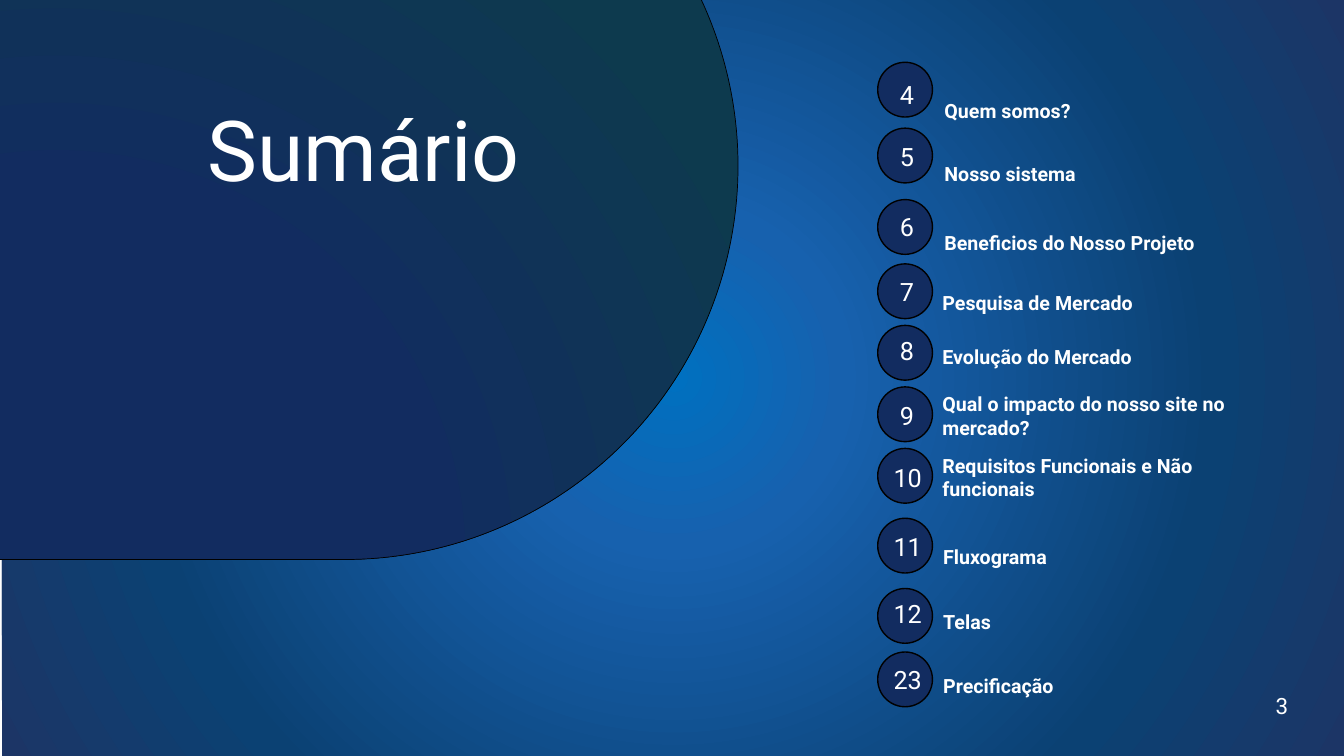
from lxml import etree
from pptx import Presentation
from pptx.dml.color import RGBColor
from pptx.enum.shapes import MSO_SHAPE
from pptx.enum.text import MSO_ANCHOR, MSO_AUTO_SIZE, PP_ALIGN
from pptx.oxml.ns import qn
from pptx.util import Cm, Pt

OVAL = MSO_SHAPE.OVAL
RECT = MSO_SHAPE.RECTANGLE
ROUNDED = MSO_SHAPE.ROUNDED_RECTANGLE
TOP = MSO_ANCHOR.TOP
LEFT = PP_ALIGN.LEFT
GROW = MSO_AUTO_SIZE.SHAPE_TO_FIT_TEXT

COLORS = {"white": "FFFFFF", "navy": "122C60", "black": "000000",
          "teal": "0D3A4E", "bright": "0070C0", "blue": "1761AE",
          "deep": "0B4173", "edge": "1C3566"}
BACKDROP_STOPS = [(0, "bright"), (22, "blue"), (70, "deep"), (100, "edge")]
PANEL_STOPS = [(46, "navy"), (100, "teal")]

TITLE_FORMAT = {"size": Pt(60), "bold": False}
NUMBER_FORMAT = {"size": Pt(18), "bold": False}
PAGE_FORMAT = {"size": Pt(16), "bold": False}
LABEL_FORMAT = {"size": Pt(14), "bold": True}

CIRCLE_LEFT, CIRCLE_SIZE = 22.12, 1.38
NUMBER_LEFT = {1: 22.43, 2: 22.27}  # by count of digits
LABEL_SPACING = Pt(39)

# page, label, circle top, number top, label left, label top, line spacing
ENTRIES = [
    ("4", "Quem somos?", 1.57, 1.88, 23.8, 1.7, LABEL_SPACING),
    ("5", "Nosso sistema", 3.23, 3.43, 23.8, 3.3, LABEL_SPACING),
    ("6", "Beneficios do Nosso Projeto", 5.03, 5.21, 23.8, 5.03, LABEL_SPACING),
    ("7", "Pesquisa de Mercado", 6.65, 6.83, 23.75, 6.55, LABEL_SPACING),
    ("8", "Evolução do Mercado", 8.2, 8.33, 23.75, 7.9, LABEL_SPACING),
    ("9", "Qual o impacto do nosso site no mercado?",
     9.75, 9.96, 23.75, 9.88, None),
    ("10", "Requisitos Funcionais e Não funcionais",
     11.3, 11.53, 23.75, 11.43, None),
    ("11", "Fluxograma", 13.06, 13.26, 23.77, 12.95, LABEL_SPACING),
    ("12", "Telas", 14.83, 14.94, 23.77, 14.58, LABEL_SPACING),
    ("23", "Precificação", 16.43, 16.61, 23.77, 16.21, LABEL_SPACING),
]


def rgb(name):
    return RGBColor.from_string(COLORS[name])


def add_shape(slide, kind, left, top, width, height, fill=None, line_width=0):
    sp = slide.shapes.add_shape(kind, Cm(left), Cm(top), Cm(width), Cm(height))
    sp.shadow.inherit = False
    if fill:
        sp.fill.solid()
        sp.fill.fore_color.rgb = rgb(fill)
    if line_width:
        sp.line.color.rgb = rgb("black")
        sp.line.width = Pt(line_width)
    else:
        sp.line.fill.background()
    return sp


def set_radial_fill(sp, stops, center):
    """Fill with a circular gradient; center holds l, t, r, b in percent."""
    grad = etree.Element(qn("a:gradFill"), rotWithShape="1")
    stop_list = etree.SubElement(grad, qn("a:gsLst"))
    for position, color in stops:
        stop = etree.SubElement(stop_list, qn("a:gs"), pos=str(position * 1000))
        etree.SubElement(stop, qn("a:srgbClr"), val=COLORS[color])
    radial = etree.SubElement(grad, qn("a:path"), path="circle")
    sides = {side: str(value * 1000) for side, value in zip("ltrb", center)}
    etree.SubElement(radial, qn("a:fillToRect"), sides)
    sp._element.spPr.find(qn("a:prstGeom")).addnext(grad)


def write_text(sp, text, font_format, spacing=None, inset=True):
    tf = sp.text_frame
    tf.word_wrap = True
    tf.auto_size = GROW
    tf.vertical_anchor = TOP
    if not inset:
        for side in ("left", "top", "right", "bottom"):
            setattr(tf, f"margin_{side}", 0)
    p = tf.paragraphs[0]
    p.alignment = LEFT
    if spacing:
        p.line_spacing = spacing
    r = p.add_run()
    r.text = text
    r.font.name = "Roboto"
    r.font.color.rgb = rgb("white")
    for name, value in font_format.items():
        setattr(r.font, name, value)


def add_text(slide, left, top, width, height, text, font_format, **layout):
    sp = slide.shapes.add_textbox(Cm(left), Cm(top), Cm(width), Cm(height))
    write_text(sp, text, font_format, **layout)


def add_background(slide):
    backdrop = add_shape(slide, RECT, 0.05, 0, 33.87, 19.05)
    set_radial_fill(backdrop, BACKDROP_STOPS, (50, 50, 50, 50))
    panel = add_shape(slide, ROUNDED, -15.77, -5.74, 34.37, 19.84, line_width=0.5)
    panel.adjustments[0] = 0.5
    set_radial_fill(panel, PANEL_STOPS, (50, 130, 50, -30))


def place_title(slide, text):
    title = slide.shapes.title
    title.left, title.top = Cm(5.23), Cm(1.19)
    title.width, title.height = Cm(19.71), Cm(2.44)
    write_text(title, text, TITLE_FORMAT, spacing=Pt(108), inset=False)
    # Bring the title in front of the background shapes
    slide.shapes._spTree.append(title._element)


def add_entry(slide, page, label, circle_top, number_top,
              label_left, label_top, spacing):
    add_shape(slide, OVAL, CIRCLE_LEFT, circle_top, CIRCLE_SIZE, CIRCLE_SIZE,
              fill="navy", line_width=1)
    add_text(slide, NUMBER_LEFT[len(page)], number_top, 1.37, 1.02,
             page, NUMBER_FORMAT)
    add_text(slide, label_left, label_top, 7.52, 1.15, label, LABEL_FORMAT,
             spacing=spacing, inset=False)


def main():
    prs = Presentation()
    prs.slide_width, prs.slide_height = Cm(33.87), Cm(19.05)
    slide = prs.slides.add_slide(prs.slide_layouts[5])
    add_background(slide)
    place_title(slide, "Sumário")
    for entry in ENTRIES:
        add_entry(slide, *entry)
    add_text(slide, 31.9, 17.32, 1.42, 1.02, "3", PAGE_FORMAT)
    prs.save("out.pptx")


if __name__ == "__main__":
    main()
